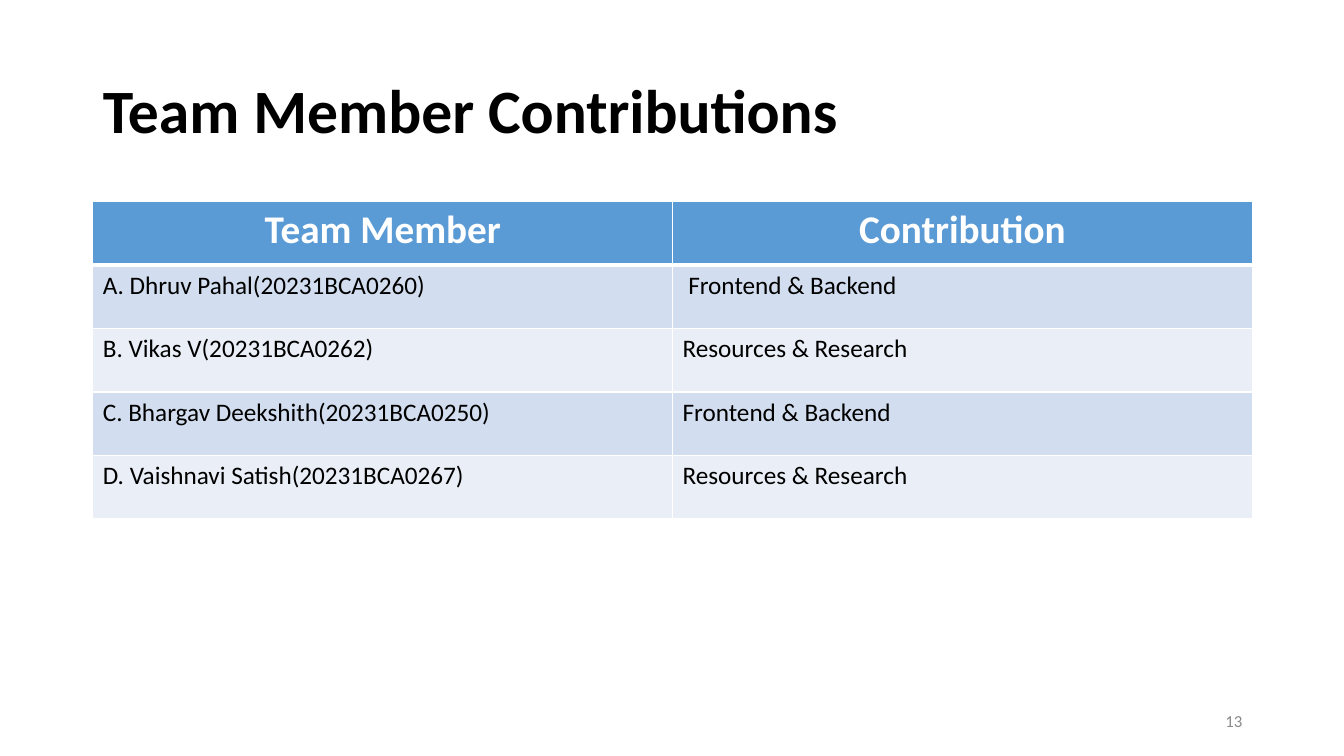
import pptx
import pptx.util
import pptx.dml.color
import pptx.enum.text
import pptx.oxml
import pptx.oxml.ns

TITLE = "Team Member Contributions"
SLIDE_NUMBER = "13"
ROWS = [
    ("Team Member", "Contribution"),
    ("A. Dhruv Pahal(20231BCA0260)", " Frontend & Backend"),
    ("B. Vikas V(20231BCA0262)", "Resources & Research"),
    ("C. Bhargav Deekshith(20231BCA0250)", "Frontend & Backend"),
    ("D. Vaishnavi Satish(20231BCA0267)", "Resources & Research"),
]

FONT = "Calibri"
BLACK = pptx.dml.color.RGBColor(0x00, 0x00, 0x00)
WHITE = pptx.dml.color.RGBColor(0xFF, 0xFF, 0xFF)
GRAY = pptx.dml.color.RGBColor(0x89, 0x89, 0x89)
HEADER_BLUE = pptx.dml.color.RGBColor(0x5B, 0x9B, 0xD5)
BAND_FILLS = (
    pptx.dml.color.RGBColor(0xEA, 0xEF, 0xF7),
    pptx.dml.color.RGBColor(0xD2, 0xDE, 0xEF),
)

Inches = pptx.util.Inches
ALIGN = pptx.enum.text.PP_ALIGN
SLIDE_WIDTH, SLIDE_HEIGHT = 13.33, 7.5
MARGIN = 0.92
CONTENT_WIDTH = 11.5
ROW_HEIGHT = 0.63
NUMBER_WIDTH = 3


def write(text_frame, text, size, color, bold=False, alignment=ALIGN.LEFT):
    text_frame.text = text
    paragraph = text_frame.paragraphs[0]
    paragraph.alignment = alignment
    font = paragraph.runs[0].font
    font.name = FONT
    font.size = pptx.util.Pt(size)
    font.bold = bold
    font.color.rgb = color
    return paragraph


def add_borders(cell, widths):
    properties = cell._tc.get_or_add_tcPr()
    for side, width in widths.items():
        properties.append(pptx.oxml.parse_xml(
            f'<a:ln{side} {pptx.oxml.ns.nsdecls("a")} w="{pptx.util.Pt(width)}">'
            f'<a:solidFill><a:srgbClr val="{WHITE}"/></a:solidFill></a:ln{side}>'
        ))


def add_title(slide):
    title = slide.shapes.title
    title.left, title.top = Inches(MARGIN), Inches(0.4)
    title.width, title.height = Inches(CONTENT_WIDTH), Inches(1.45)
    frame = title.text_frame
    frame.auto_size = pptx.enum.text.MSO_AUTO_SIZE.NONE
    frame.vertical_anchor = pptx.enum.text.MSO_ANCHOR.MIDDLE
    write(frame, TITLE, 44, BLACK, bold=True).line_spacing = 0.9


def add_contributions(slide):
    table = slide.shapes.add_table(
        len(ROWS), len(ROWS[0]), Inches(MARGIN), Inches(2),
        Inches(CONTENT_WIDTH), Inches(ROW_HEIGHT * len(ROWS)),
    ).table
    for row_index, row in enumerate(ROWS):
        is_header = row_index == 0
        for column_index, text in enumerate(row):
            cell = table.cell(row_index, column_index)
            top = 3 if row_index == 1 else 1
            bottom = 3 if is_header else 1
            add_borders(cell, {"L": 1, "R": 1, "T": top, "B": bottom})
            cell.fill.solid()
            if is_header:
                cell.fill.fore_color.rgb = HEADER_BLUE
                write(cell.text_frame, text, 28, WHITE, True, ALIGN.CENTER)
            else:
                cell.fill.fore_color.rgb = BAND_FILLS[row_index % 2]
                write(cell.text_frame, text, 18, BLACK)


def add_slide_number(slide):
    box = slide.shapes.add_textbox(
        Inches(MARGIN + CONTENT_WIDTH - NUMBER_WIDTH), Inches(6.95),
        Inches(NUMBER_WIDTH), Inches(0.4),
    )
    box.text_frame.word_wrap = True
    box.text_frame.vertical_anchor = pptx.enum.text.MSO_ANCHOR.MIDDLE
    write(box.text_frame, SLIDE_NUMBER, 12, GRAY, alignment=ALIGN.RIGHT)


def main():
    presentation = pptx.Presentation()
    presentation.slide_width = Inches(SLIDE_WIDTH)
    presentation.slide_height = Inches(SLIDE_HEIGHT)
    slide = presentation.slides.add_slide(
        presentation.slide_layouts.get_by_name("Title Only")
    )
    add_title(slide)
    add_contributions(slide)
    add_slide_number(slide)
    presentation.save("out.pptx")


if __name__ == "__main__":
    main()
